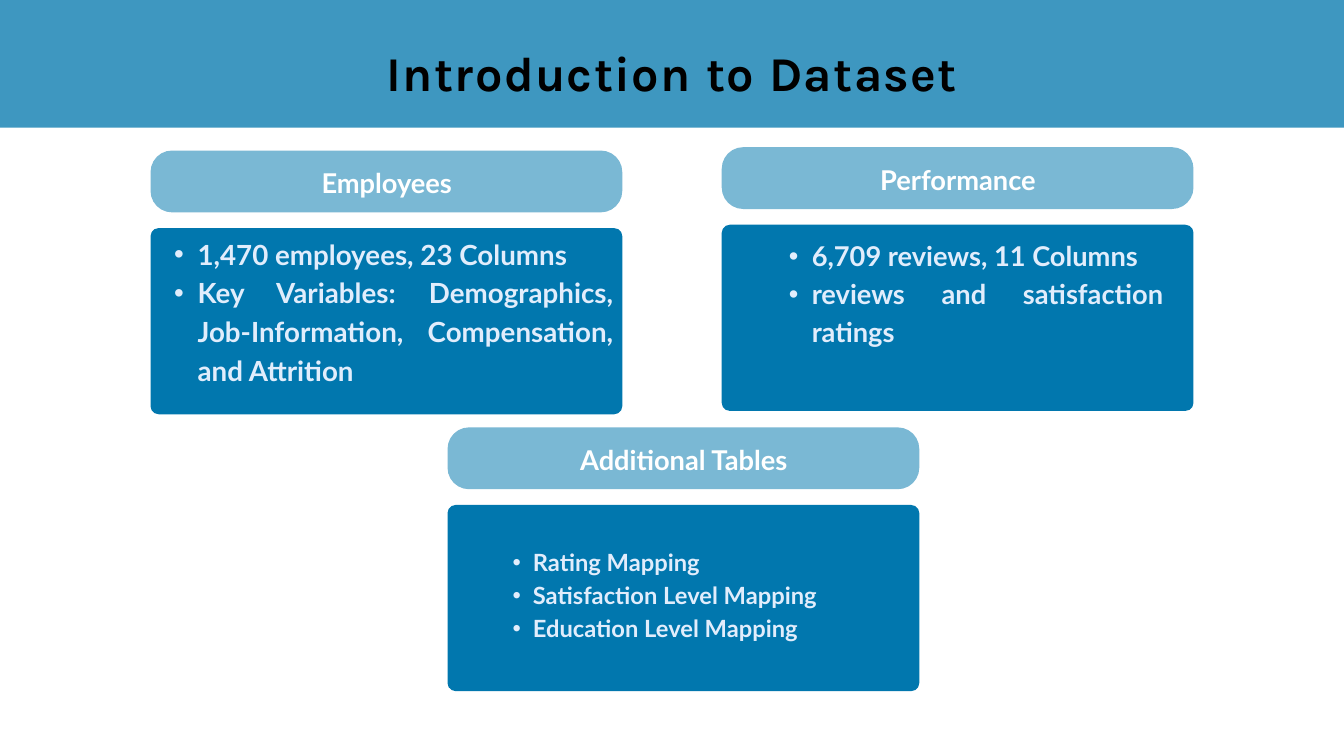
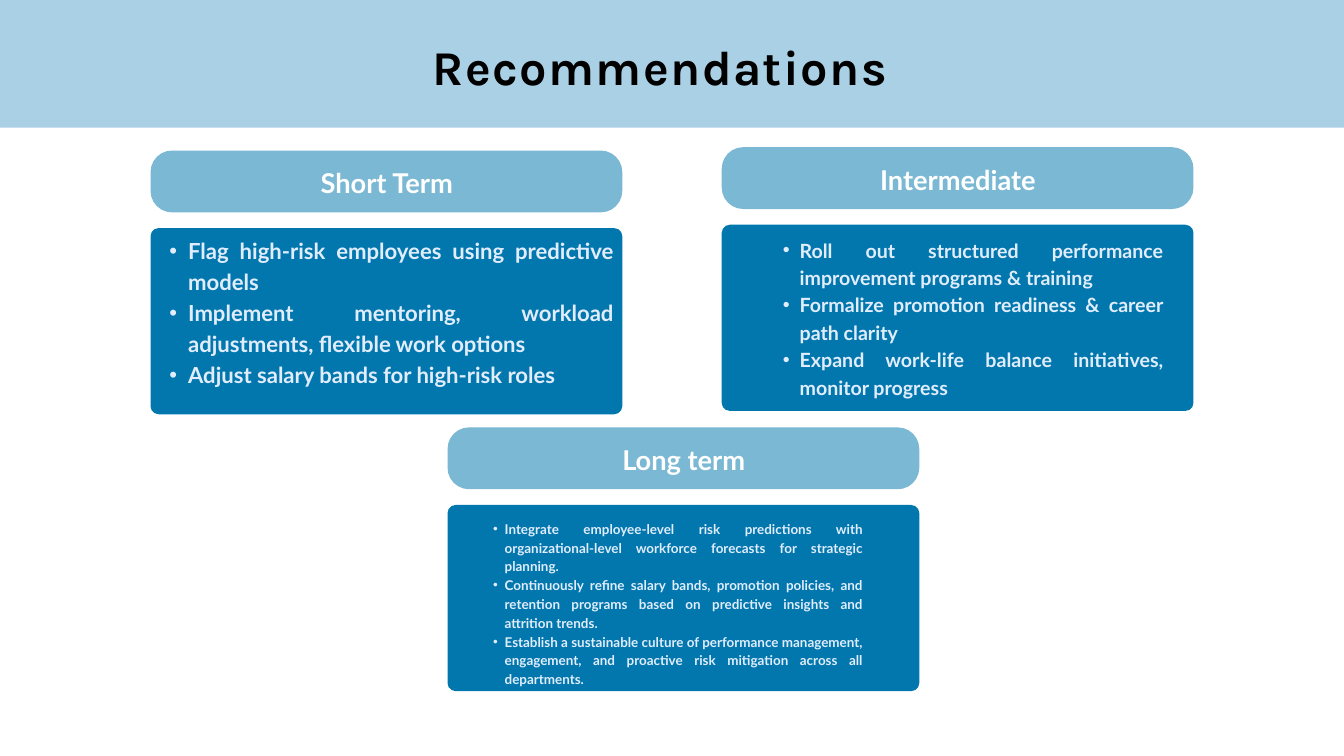
from dataclasses import dataclass

from lxml import etree
from pptx import Presentation
from pptx import util as u
from pptx.dml.color import RGBColor
from pptx.enum import shapes, text
from pptx.oxml.ns import qn

BLACK, WHITE, PALE = "000000", "FFFFFF", "E1EDFC"
HEADING_BLUE, CARD_BLUE = "7AB8D4", "0177AE"
TITLE_FONT, BODY_FONT = "Karla", "Lato"
CARD_WIDTH, HEADING_HEIGHT, BODY_HEIGHT = 7.02, 0.92, 2.77
BODY_DROP = 1.155
LINE_FACTOR = 1.4
HANG_PER_POINT = 0.0118


@dataclass(frozen=True)
class Box:
    """Left, top, width and height in inches."""
    left: float
    top: float
    width: float
    height: float

    def lengths(self) -> list[u.Length]:
        """Return the four measures as lengths."""
        return [u.Inches(n) for n in (self.left, self.top, self.width, self.height)]


@dataclass(frozen=True)
class Style:
    """Look of a paragraph."""
    font: str
    size: float
    color: str
    align: text.PP_ALIGN = text.PP_ALIGN.CENTER
    bullet: bool = False
    tracking: int = 0


@dataclass(frozen=True)
class Card:
    """A heading pill over a panel of bullets."""
    left: float
    top: float
    heading: str
    size: float
    bullet_box: Box
    bullets: tuple[str, ...]


@dataclass(frozen=True)
class CardPage:
    """A titled band with cards below it."""
    title: str
    title_box: Box
    band_color: str
    cards: tuple[Card, ...]


TITLE = Style(TITLE_FONT, 52, BLACK, tracking=156)
HEADING = Style(BODY_FONT, 29.2, WHITE)
RIGHT, LEFT, LOWER = (10.74, 2.19), (2.24, 2.24), (6.66, 6.36)

PAGES = (
    CardPage("Introduction to Dataset", Box(3.91, 0.49, 12.19, 0.97), "3E97C0", (
        Card(*RIGHT, "Performance", 29.2, Box(11.4, 3.48, 5.91, 2.79), (
            "6,709 reviews, 11 Columns",
            "reviews and satisfaction ratings")),
        Card(*LEFT, "Employees", 29.7, Box(2.24, 3.45, 6.89, 2.27), (
            "1,470 employees, 23 Columns",
            "Key Variables: Demographics, Job-Information, Compensation, and Attrition")),
        Card(*LOWER, "Additional Tables", 25.4, Box(7.33, 8.08, 5.67, 1.46), (
            "Rating Mapping",
            "Satisfaction Level Mapping",
            "Education Level Mapping")),
    )),
    CardPage("Recommendations", Box(6.37, 0.41, 6.91, 0.97), "AAD0E5", (
        Card(*RIGHT, "Intermediate", 21, Box(11.4, 3.49, 5.91, 2.84), (
            "Roll out structured performance improvement programs & training",
            "Formalize promotion readiness & career path clarity",
            "Expand work-life balance initiatives, monitor progress")),
        Card(*LEFT, "Short Term", 23.7, Box(2.24, 3.47, 6.89, 2.28), (
            "Flag high-risk employees using predictive models",
            "Implement mentoring, workload adjustments, flexible work options",
            "Adjust salary bands for high-risk roles")),
        Card(*LOWER, "Long term", 14.4, Box(7.17, 7.71, 5.67, 2.71), (
            "Integrate employee-level risk predictions with organizational-level "
            "workforce forecasts for strategic planning.",
            "Continuously refine salary bands, promotion policies, and retention "
            "programs based on predictive insights and attrition trends.",
            "Establish a sustainable culture of performance management, engagement, "
            "and proactive risk mitigation across all departments.")),
    )),
)


def rgb(color: str) -> RGBColor:
    """Turn a hex string into a colour."""
    return RGBColor.from_string(color)


def add_panel(page, box: Box, color: str, radius: float = 0) -> None:
    """Draw a plain filled rectangle, rounded by a radius in inches."""
    kind = shapes.MSO_SHAPE.ROUNDED_RECTANGLE if radius else shapes.MSO_SHAPE.RECTANGLE
    panel = page.shapes.add_shape(kind, *box.lengths())
    if radius:
        panel.adjustments[0] = radius / box.height
    panel.fill.solid()
    panel.fill.fore_color.rgb = rgb(color)
    panel.line.fill.background()
    panel.shadow.inherit = False


def add_bullet(para, size: float) -> None:
    """Give a paragraph a hanging bullet sized to its text."""
    hang = round(size * HANG_PER_POINT, 2)
    para.level = 1
    properties = para._p.get_or_add_pPr()
    properties.set("marL", str(u.Inches(2 * hang)))
    properties.set("indent", str(u.Inches(-hang)))
    etree.SubElement(properties, qn("a:buFont"), typeface="Arial")
    etree.SubElement(properties, qn("a:buChar"), char="•")


def write(shape, lines: tuple[str, ...], style: Style) -> None:
    """Fill a shape with one styled paragraph per line."""
    frame = shape.text_frame
    frame.word_wrap = True
    frame.auto_size = text.MSO_AUTO_SIZE.SHAPE_TO_FIT_TEXT
    frame.vertical_anchor = text.MSO_ANCHOR.TOP
    frame.margin_left = frame.margin_top = frame.margin_right = frame.margin_bottom = 0
    for index, line in enumerate(lines):
        para = frame.add_paragraph() if index else frame.paragraphs[0]
        if style.bullet:
            add_bullet(para, style.size)
        para.alignment = style.align
        para.line_spacing = u.Pt(style.size * LINE_FACTOR)
        span = para.add_run()
        span.text = line
        span.font.name = style.font
        span.font.size = u.Pt(style.size)
        span.font.bold = True
        span.font.color.rgb = rgb(style.color)
        if style.tracking:
            span._r.get_or_add_rPr().set("spc", str(style.tracking))


def add_text(page, box: Box, lines: tuple[str, ...], style: Style) -> None:
    """Place a text box."""
    write(page.shapes.add_textbox(*box.lengths()), lines, style)


def add_title(page, title: str, box: Box) -> None:
    """Move the title placeholder above the band and fill it."""
    holder = page.shapes.title
    page.shapes._spTree.append(holder._element)
    holder.left, holder.top, holder.width, holder.height = box.lengths()
    write(holder, (title,), TITLE)


def add_card(page, card: Card) -> None:
    """Draw a heading pill, its panel and the bullets."""
    add_panel(page, Box(card.left, card.top, CARD_WIDTH, HEADING_HEIGHT), HEADING_BLUE, 0.32)
    add_panel(page, Box(card.left, card.top + BODY_DROP, CARD_WIDTH, BODY_HEIGHT), CARD_BLUE, 0.12)
    add_text(page, Box(card.left + 0.13, card.top + 0.16, 6.77, 0.54), (card.heading,), HEADING)
    bullet_style = Style(BODY_FONT, card.size, PALE, text.PP_ALIGN.JUSTIFY, bullet=True)
    add_text(page, card.bullet_box, card.bullets, bullet_style)


def main() -> None:
    """Build and save the deck."""
    deck = Presentation()
    deck.slide_width, deck.slide_height = u.Inches(20), u.Inches(11.25)
    title_only = deck.slide_layouts.get_by_name("Title Only")
    for content in PAGES:
        page = deck.slides.add_slide(title_only)
        add_panel(page, Box(0, 0, 20, 1.9), content.band_color)
        add_title(page, content.title, content.title_box)
        for card in content.cards:
            add_card(page, card)
    deck.save("out.pptx")


if __name__ == "__main__":
    main()
